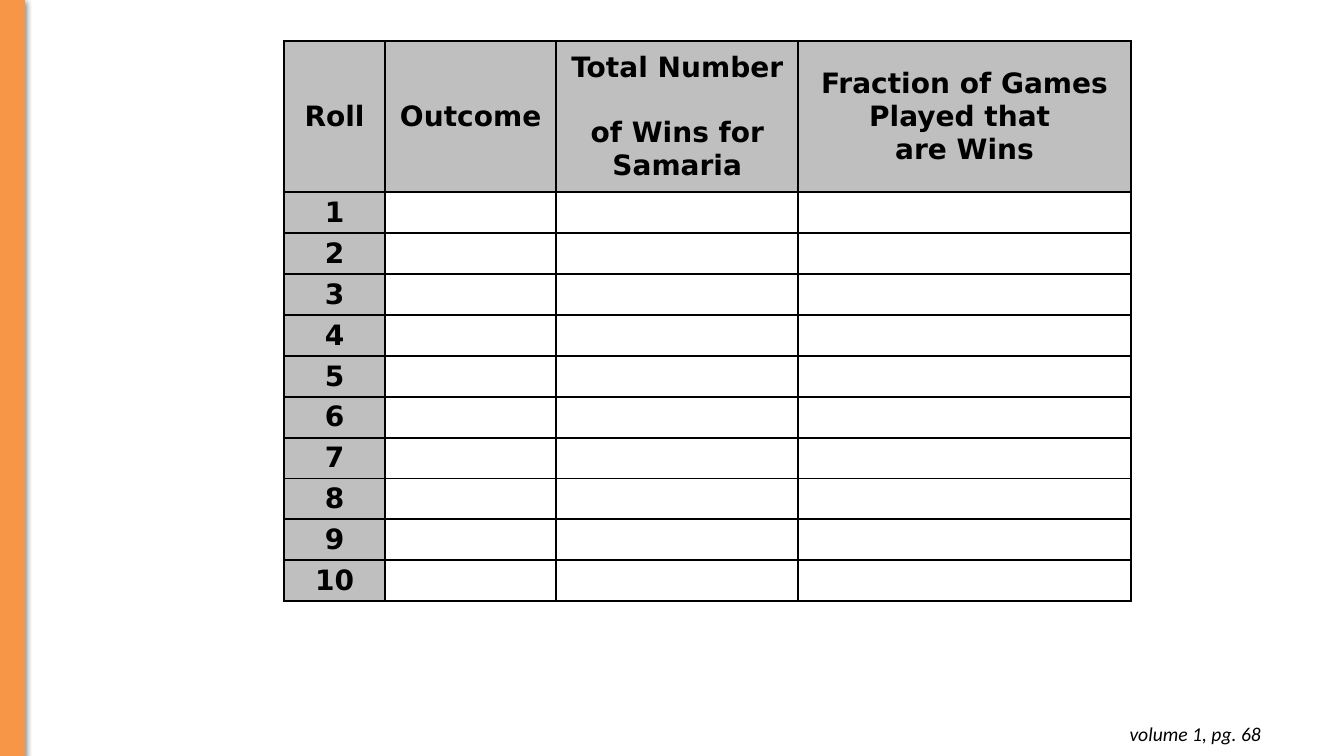
from dataclasses import dataclass

from lxml.etree import SubElement
from pptx import Presentation
from pptx.dml.color import RGBColor
from pptx.enum.shapes import MSO_SHAPE
from pptx.enum.text import MSO_ANCHOR, PP_ALIGN
from pptx.oxml import parse_xml
from pptx.oxml.ns import nsdecls, qn
from pptx.util import Pt


@dataclass(frozen=True)
class Theme:
    ink: RGBColor = RGBColor(0, 0, 0)
    label: RGBColor = RGBColor(0xBF, 0xBF, 0xBF)
    accent: RGBColor = RGBColor(0xF7, 0x96, 0x47)
    table_font: str = "DejaVu Sans"
    note_font: str = "Calibri"
    table_size: int = 20
    note_size: int = 14


theme = Theme()


def style(p, align, name, size):
    p.alignment = align
    p.font.name, p.font.size = name, Pt(size)
    p.font.color.rgb = theme.ink


def add_borders(cell, width):
    tcPr = cell._tc.get_or_add_tcPr()
    for side in ("lnL", "lnR", "lnT", "lnB"):
        ln = SubElement(tcPr, qn(f"a:{side}"), w=str(Pt(width)))
        fill = SubElement(ln, qn("a:solidFill"))
        SubElement(fill, qn("a:srgbClr"), val=str(theme.ink))


prs = Presentation()
prs.slide_width, prs.slide_height = Pt(960), Pt(540)
s = prs.slides.add_slide(prs.slide_layouts[6])

# Accent bar with a soft shadow
bar = s.shapes.add_shape(MSO_SHAPE.RECTANGLE, Pt(0), Pt(0), Pt(17.5), Pt(540.5))
bar.fill.solid()
bar.fill.fore_color.rgb = theme.accent
bar.line.color.rgb = theme.accent
bar.line.width = Pt(0.75)
bar._element.spPr.append(parse_xml(
    f'<a:effectLst {nsdecls("a")}>'
    f'<a:outerShdw blurRad="{Pt(4.5)}" dist="{Pt(1.5)}" dir="5400000" rotWithShape="0">'
    '<a:srgbClr val="000000"><a:alpha val="50000"/></a:srgbClr>'
    '</a:outerShdw></a:effectLst>'))

# Table of rolls
headers = ["Roll", "Outcome", "Total Number \vof Wins for Samaria",
           "Fraction of Games Played that \vare Wins"]
col_widths = [72, 122.4, 172.8, 237.6]
rolls = 10
header_height, row_height = 108, 29.2
table = s.shapes.add_table(rolls + 1, len(headers), Pt(203), Pt(29.4), Pt(sum(col_widths)),
                           Pt(header_height + rolls * row_height)).table
table.first_row = table.horz_banding = False
for col, width in zip(table.columns, col_widths):
    col.width = Pt(width)

rows = [headers] + [[str(n), "", "", ""] for n in range(1, rolls + 1)]
for i, texts in enumerate(rows):
    table.rows[i].height = Pt(row_height if i else header_height)
    for j, text in enumerate(texts):
        cell = table.cell(i, j)
        cell.vertical_anchor = MSO_ANCHOR.MIDDLE
        cell.margin_left = cell.margin_right = Pt(7.2)
        cell.margin_top = cell.margin_bottom = Pt(2.88 if i else 7.2)
        add_borders(cell, 1.5)
        if text:
            cell.fill.solid()
            cell.fill.fore_color.rgb = theme.label
        else:
            cell.fill.background()
        cell.text = text
        p = cell.text_frame.paragraphs[0]
        style(p, PP_ALIGN.CENTER, theme.table_font, theme.table_size)
        p.font.bold = True

# Page reference
note = s.shapes.add_textbox(Pt(700.5), Pt(508.3), Pt(207.4), Pt(31.7))
tf = note.text_frame
tf.word_wrap = True
tf.margin_left = tf.margin_right = tf.margin_top = tf.margin_bottom = Pt(7.2)
p = tf.paragraphs[0]
p.text = "volume 1, pg. 68"
style(p, PP_ALIGN.RIGHT, theme.note_font, theme.note_size)
p.font.italic = True

prs.save("out.pptx")
